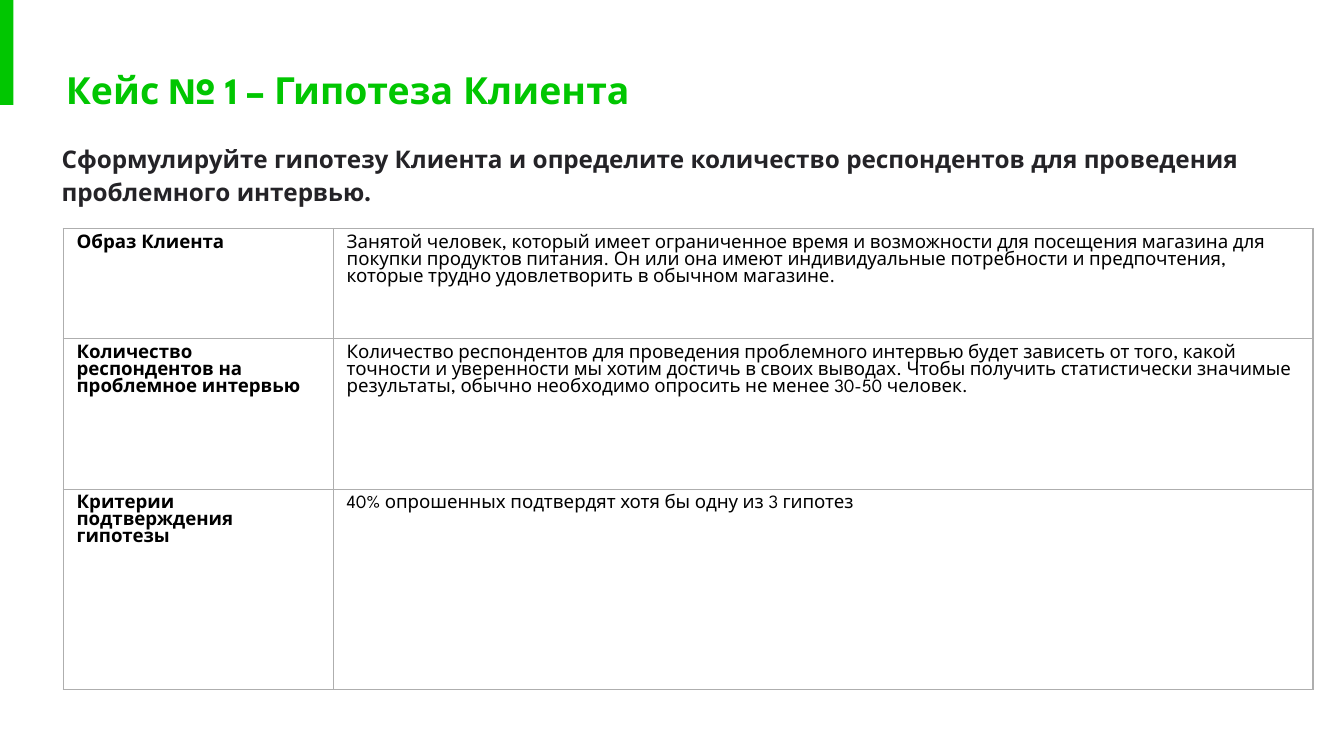
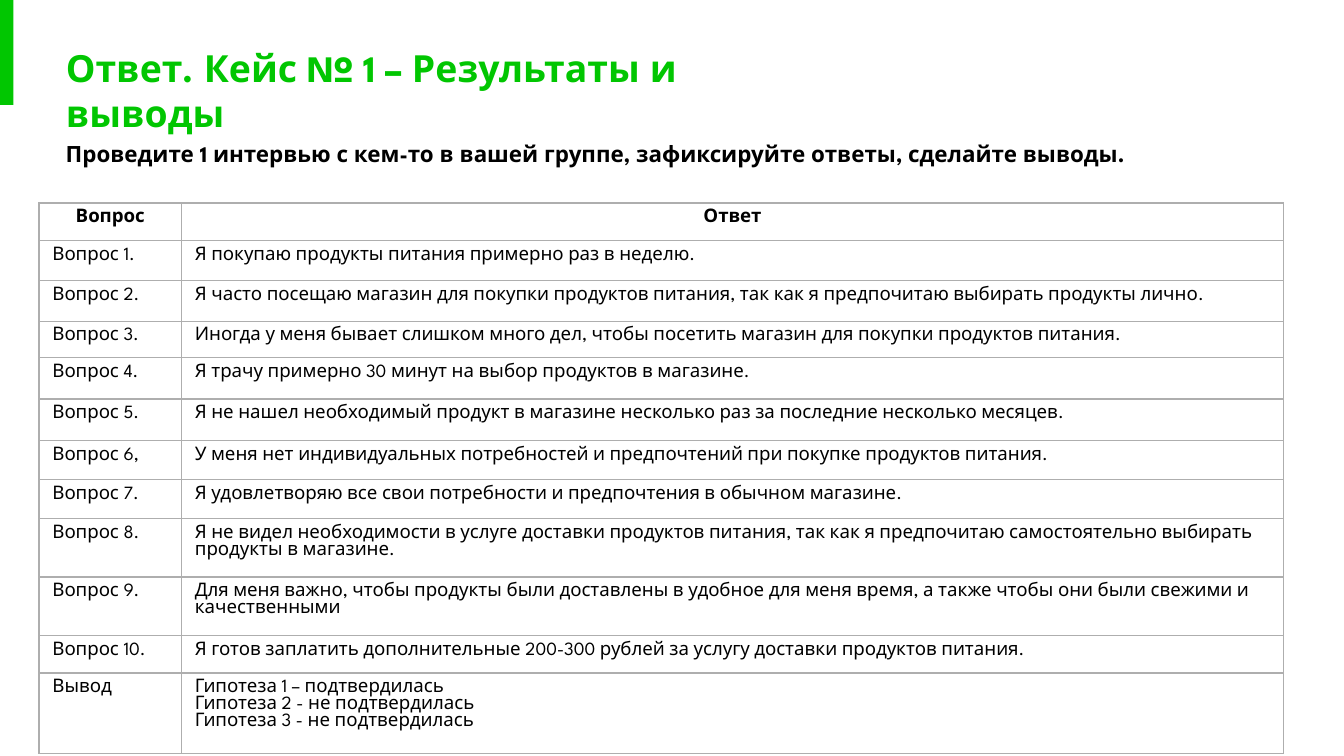
from dataclasses import dataclass

from lxml import etree
from pptx import Presentation
from pptx.dml.color import RGBColor
from pptx.enum.shapes import MSO_SHAPE
from pptx.enum.text import MSO_ANCHOR, MSO_AUTO_SIZE, PP_ALIGN
from pptx.oxml.ns import qn
from pptx.util import Inches, Pt

GREEN = RGBColor(0x01, 0xC6, 0x01)
DARK = RGBColor(0x24, 0x23, 0x27)
BLACK = RGBColor(0x00, 0x00, 0x00)
BORDER = RGBColor(0xAE, 0xAE, 0xAE)

RECTANGLE = MSO_SHAPE.RECTANGLE
MIDDLE, TOP = MSO_ANCHOR.MIDDLE, MSO_ANCHOR.TOP
GROW = MSO_AUTO_SIZE.SHAPE_TO_FIT_TEXT
LEFT, CENTER, JUSTIFY = PP_ALIGN.LEFT, PP_ALIGN.CENTER, PP_ALIGN.JUSTIFY

FONT = "League Spartan"
TITLE_ONLY = 5
COLUMNS, ROWS = 100, 56.25
SLIDE_WIDTH = Inches(10)
UNIT = SLIDE_WIDTH / COLUMNS
PADDING = 1


@dataclass
class Box:
    """A region in columns and rows of the slide grid."""
    left: float
    top: float
    width: float
    height: float

    def lengths(self):
        return [grid(n) for n in (self.left, self.top, self.width, self.height)]


BAND = Box(0, 0, 1, 7.8)

CLIENT_ROWS = [
    ("Образ Клиента",
     "Занятой человек, который имеет ограниченное время и возможности для "
     "посещения магазина для покупки продуктов питания. Он или она имеют "
     "индивидуальные потребности и предпочтения, которые трудно удовлетворить "
     "в обычном магазине."),
    ("Количество респондентов на проблемное интервью",
     "Количество респондентов для проведения проблемного интервью будет "
     "зависеть от того, какой точности и уверенности мы хотим достичь в своих "
     "выводах. Чтобы получить статистически значимые результаты, обычно "
     "необходимо опросить не менее 30-50 человек."),
    ("Критерии подтверждения гипотезы",
     "40% опрошенных подтвердят хотя бы одну из 3 гипотез"),
]

ANSWERS = [
    "Я покупаю продукты питания примерно раз в неделю.",
    "Я часто посещаю магазин для покупки продуктов питания, так как я "
    "предпочитаю выбирать продукты лично.",
    "Иногда у меня бывает слишком много дел, чтобы посетить магазин для "
    "покупки продуктов питания.",
    "Я трачу примерно 30 минут на выбор продуктов в магазине.",
    "Я не нашел необходимый продукт в магазине несколько раз за последние "
    "несколько месяцев.",
    "У меня нет индивидуальных потребностей и предпочтений при покупке "
    "продуктов питания.",
    "Я удовлетворяю все свои потребности и предпочтения в обычном магазине.",
    "Я не видел необходимости в услуге доставки продуктов питания, так как я "
    "предпочитаю самостоятельно выбирать продукты в магазине.",
    "Для меня важно, чтобы продукты были доставлены в удобное для меня время, "
    "а также чтобы они были свежими и качественными",
    "Я готов заплатить дополнительные 200-300 рублей за услугу доставки "
    "продуктов питания.",
]
CONCLUSIONS = [
    "Гипотеза 1 – подтвердилась",
    "Гипотеза 2 - не подтвердилась",
    "Гипотеза 3 - не подтвердилась",
]


def grid(count):
    return round(count * UNIT)


def write(para, text, size, color=BLACK, bold=False, align=LEFT):
    para.alignment = align
    span = para.add_run()
    span.text = text
    span.font.name = FONT
    span.font.size = Pt(size)
    span.font.bold = bold
    span.font.color.rgb = color


def prepare_frame(shape, anchor):
    frame = shape.text_frame
    frame.word_wrap = True
    frame.auto_size = GROW
    frame.vertical_anchor = anchor
    frame.margin_left = frame.margin_right = grid(PADDING)
    frame.margin_top = frame.margin_bottom = grid(PADDING)
    return frame.paragraphs[0]


def add_page(deck, title, title_width):
    """Add a slide with the green band and its title."""
    page = deck.slides.add_slide(deck.slide_layouts[TITLE_ONLY])
    band = page.shapes.add_shape(RECTANGLE, *BAND.lengths())
    band.shadow.inherit = False
    band.fill.solid()
    band.fill.fore_color.rgb = GREEN
    band.line.fill.background()

    heading = page.shapes.title
    box = Box(3.9, 4, title_width, 5.4)
    heading.left, heading.top, heading.width, heading.height = box.lengths()
    write(prepare_frame(heading, MIDDLE), title, 20, GREEN, bold=True)
    return page


def add_task(page, box, text, size, color=BLACK, align=LEFT):
    shape = page.shapes.add_textbox(*box.lengths())
    para = prepare_frame(shape, TOP)
    write(para, text, size, color, bold=True, align=align)
    return para


def draw_borders(cell):
    properties = cell._tc.get_or_add_tcPr()
    for position, side in enumerate(("a:lnL", "a:lnR", "a:lnT", "a:lnB")):
        line = etree.Element(qn(side), w=str(Pt(0.75)))
        fill = etree.SubElement(line, qn("a:solidFill"))
        etree.SubElement(fill, qn("a:srgbClr"), val=str(BORDER))
        properties.insert(position, line)


def add_grid_table(page, box, first_width, heights, rows, is_bold, header=False):
    """Draw a two-column table; is_bold(row, column) picks the bold cells."""
    frame = page.shapes.add_table(len(rows), 2, *box.lengths())
    table = frame.table
    table.first_row = table.horz_banding = False
    table.columns[0].width = grid(first_width)
    table.columns[1].width = grid(box.width - first_width)
    for row, (height, texts) in enumerate(zip(heights, rows)):
        table.rows[row].height = grid(height)
        for column, text in enumerate(texts):
            cell = table.cell(row, column)
            cell.fill.background()
            cell.margin_left = cell.margin_right = grid(PADDING)
            cell.margin_top = cell.margin_bottom = grid(PADDING / 2)
            draw_borders(cell)
            align = CENTER if header and row == 0 else LEFT
            lines = [text] if isinstance(text, str) else text
            for number, line in enumerate(lines):
                body = cell.text_frame
                para = body.add_paragraph() if number else body.paragraphs[0]
                write(para, line, 10, bold=is_bold(row, column), align=align)


def add_hypothesis_page(deck):
    page = add_page(deck, "Кейс № 1 – Гипотеза Клиента", 46.5)
    para = add_task(
        page, Box(2.2, 9.4, 95.5, 6.7),
        "Сформулируйте гипотезу Клиента и определите количество респондентов "
        "для проведения проблемного интервью.", 13, DARK)
    para.line_spacing = 1.15
    properties = para._p.get_or_add_pPr()
    properties.set("marL", str(grid(1.4)))
    properties.set("indent", "0")
    add_grid_table(page, Box(4.7, 17, 93, 34.3), 20.1, [8.2, 11.2, 14.9],
                   CLIENT_ROWS, lambda row, column: column == 0)


def add_results_page(deck):
    page = add_page(deck, "Ответ. Кейс № 1 – Результаты и выводы", 58.4)
    add_task(
        page, Box(3.9, 9.4, 87.5, 4),
        "Проведите 1 интервью с кем-то в вашей группе, зафиксируйте ответы, "
        "сделайте выводы.", 12, align=JUSTIFY)
    rows = [("Вопрос", "Ответ")]
    for number, answer in enumerate(ANSWERS, 1):
        mark = "," if number == 6 else "."
        rows.append((f"Вопрос {number}{mark}", answer))
    rows.append(("Вывод", CONCLUSIONS))
    heights = [2.8, 3, 3, 2.7, 3.1, 3.1, 2.9, 2.9, 3.1, 2.8, 2.8, 5.8]
    add_grid_table(page, Box(2.9, 15.1, 92.6, 40.8), 10.6, heights,
                   rows, lambda row, column: row == 0, header=True)


def main():
    deck = Presentation()
    deck.slide_width = SLIDE_WIDTH
    deck.slide_height = grid(ROWS)
    add_hypothesis_page(deck)
    add_results_page(deck)
    deck.save("out.pptx")


if __name__ == "__main__":
    main()
